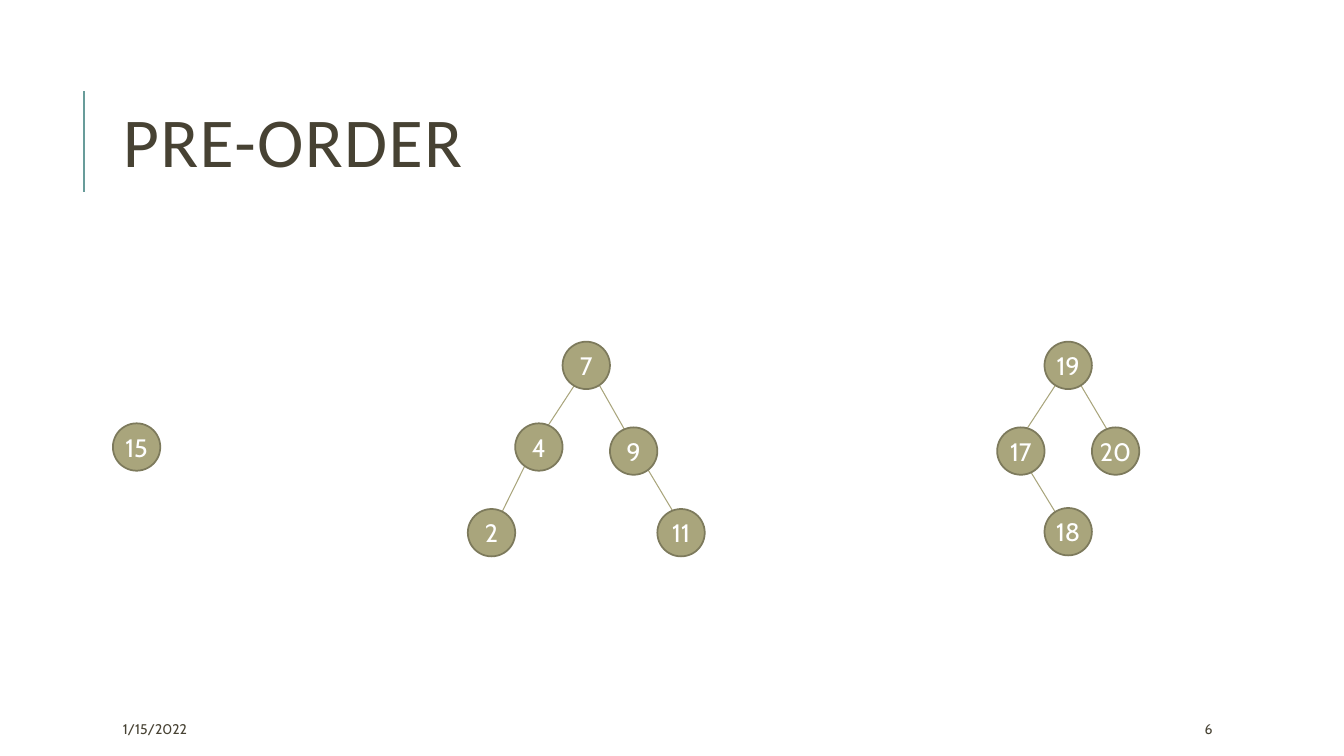
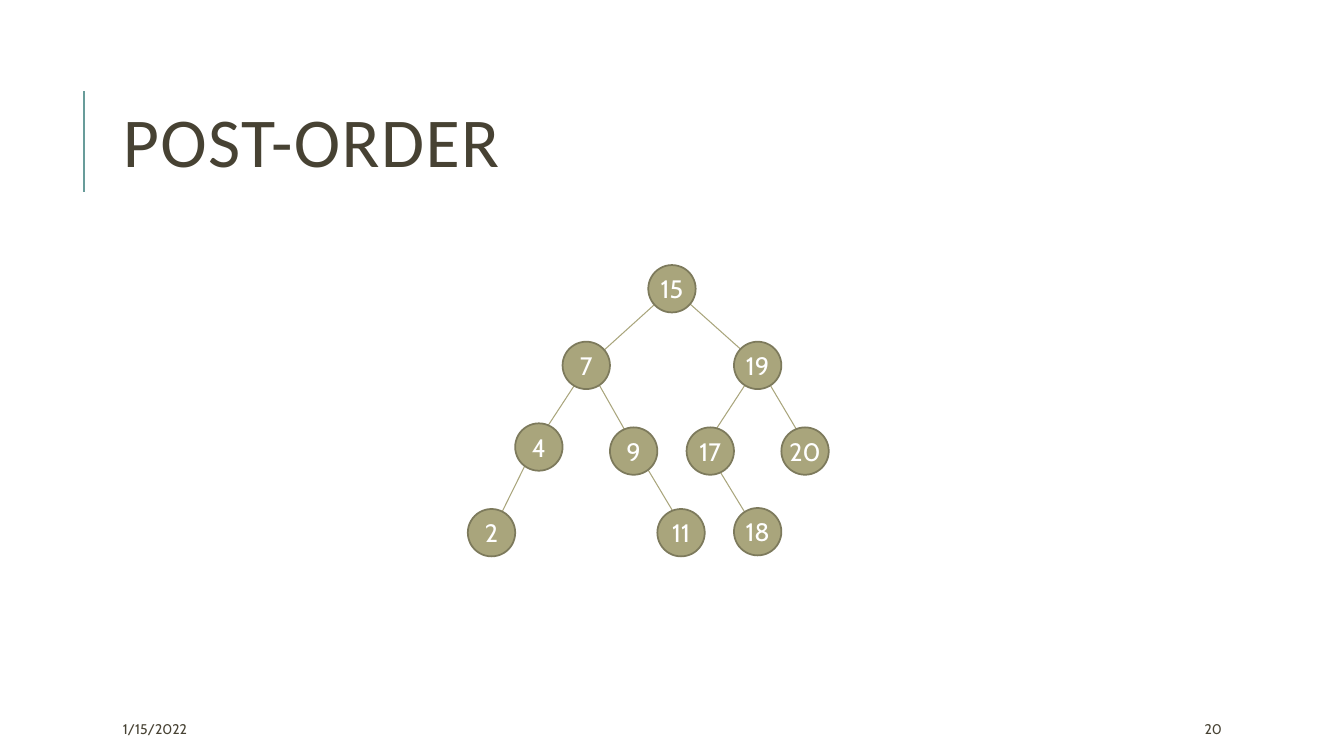
"""Build two slides that show binary search trees and their traversals."""
from dataclasses import dataclass, replace

from lxml import etree
from pptx import Presentation
from pptx import util as u
from pptx.dml.color import RGBColor
from pptx.enum import shapes, text
from pptx.oxml import ns

PX = 9144
SIZE = 47
HUBS = (286, 362, 443, 530)
HUES = {
    "paper": "FFFFFF",
    "ink": "474233",
    "rule": "689C9A",
    "node": "A9A57C",
    "rim": "7D7A5C",
}


@dataclass(frozen=True)
class Node:
    tag: str
    left: int
    top: int
    row: int
    up: str = ""
    hub: int = 24


@dataclass(frozen=True)
class Page:
    title: str
    num: str
    nodes: tuple[Node, ...]


SMALL = (
    Node("7", 558, 339, 1, "15", 25),
    Node("4", 511, 420, 2, "7", 19),
    Node("9", 605, 424, 2, "7"),
    Node("2", 464, 505, 3, "4", 23),
    Node("11", 652, 505, 3, "9", 29),
)
LARGE = (
    Node("19", 728, 339, 1, "15"),
    Node("17", 681, 424, 2, "19", 18),
    Node("20", 775, 424, 2, "19", 25),
    Node("18", 728, 504, 3, "17"),
)


def shift(nodes: tuple[Node, ...], step: int) -> tuple[Node, ...]:
    return tuple(replace(n, left=n.left + step) for n in nodes)


PAGES = (
    Page("PRE-ORDER", "6",
         (Node("15", 112, 420, 2), *SMALL, *shift(LARGE, 308))),
    Page("POST-ORDER", "20",
         (Node("15", 643, 263, 0), *SMALL, *LARGE)),
)


def hue(name: str) -> RGBColor:
    return RGBColor.from_string(HUES[name])


def box(slide, left: int, top: int, width: int, height: int):
    shape = slide.shapes.add_textbox(*(v * PX for v in (left, top, width, height)))
    shape.text_frame.word_wrap = True
    return shape


def write(shape, words: str, *, size: int, font: str = "Cabin",
          ink: str = "ink", align=text.PP_ALIGN.LEFT,
          lead: float = 1.0, track: int = 0) -> None:
    frame = shape.text_frame
    frame.vertical_anchor = text.MSO_ANCHOR.MIDDLE
    para = frame.paragraphs[0]
    para.alignment = align
    para.line_spacing = lead
    run = para.add_run()
    run.text = words
    run.font.size = u.Pt(size)
    run.font.name = font
    run.font.color.rgb = hue(ink)
    if track:
        run.font._element.set("spc", str(track * 100))


def line(slide, start: tuple[int, int], end: tuple[int, int],
         tint: str, width: float) -> None:
    link = slide.shapes.add_connector(
        shapes.MSO_CONNECTOR.STRAIGHT, *(v * PX for v in (*start, *end)))
    link.line.color.rgb = hue(tint)
    link.line.width = u.Pt(width)
    etree.SubElement(link._element.spPr, ns.qn("a:effectLst"))


def disc(slide, node: Node) -> None:
    shape = slide.shapes.add_shape(
        shapes.MSO_SHAPE.OVAL, node.left * PX, node.top * PX, SIZE * PX, SIZE * PX)
    shape.shadow.inherit = False
    shape.fill.solid()
    shape.fill.fore_color.rgb = hue("node")
    shape.line.color.rgb = hue("rim")
    shape.line.width = u.Pt(1.25)
    frame = shape.text_frame
    frame.margin_left = frame.margin_right = 0
    frame.margin_top = frame.margin_bottom = 0
    write(shape, node.tag, size=18, ink="paper", align=text.PP_ALIGN.CENTER)


def joint(node: Node) -> tuple[int, int]:
    return node.left + node.hub, HUBS[node.row]


def tree(slide, nodes: tuple[Node, ...]) -> None:
    index = {n.tag: n for n in nodes}
    for node in nodes:
        head = index.get(node.up)
        if head and head.row == node.row - 1:
            line(slide, joint(head), joint(node), "node", 0.75)
    for node in nodes:
        disc(slide, node)


def frame_up(slide, page: Page) -> None:
    line(slide, (83, 190), (83, 90), "rule", 1.5)
    write(box(slide, 112, 64, 1063, 164), page.title,
          size=50, font="Calibri", lead=0.8, track=1)
    write(box(slide, 112, 708, 236, 30), "1/15/2022", size=10)
    write(box(slide, 1185, 708, 106, 30), page.num, size=10)


def main() -> None:
    deck = Presentation()
    deck.slide_width, deck.slide_height = 1333 * PX, 750 * PX
    for page in PAGES:
        slide = deck.slides.add_slide(deck.slide_layouts[6])
        slide.background.fill.solid()
        slide.background.fill.fore_color.rgb = hue("paper")
        frame_up(slide, page)
        tree(slide, page.nodes)
    deck.save("out.pptx")


if __name__ == "__main__":
    main()
